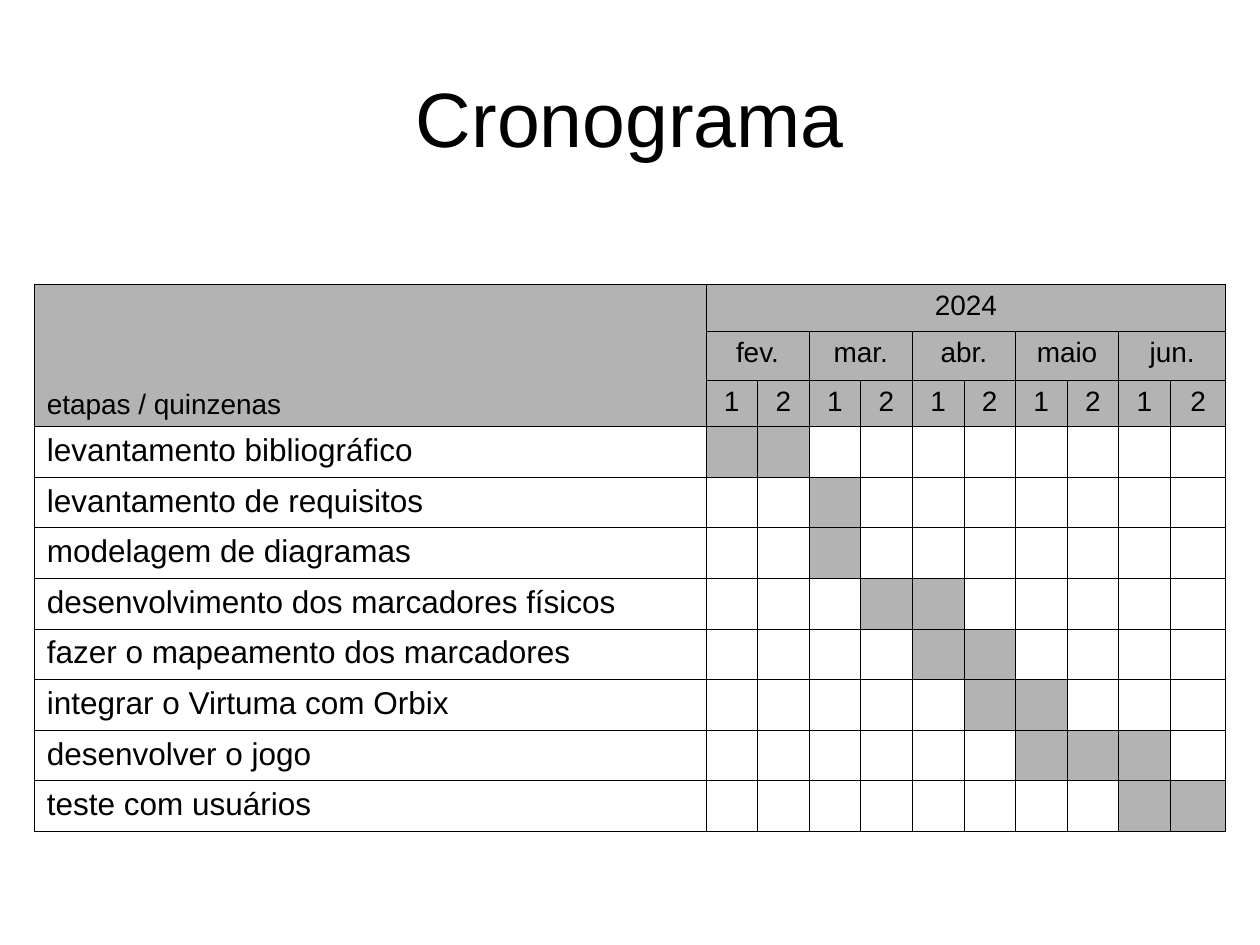
from dataclasses import dataclass

from lxml.etree import SubElement
from pptx import Presentation
from pptx.dml.color import RGBColor
from pptx.enum.text import MSO_ANCHOR, PP_ALIGN
from pptx.oxml.ns import qn
from pptx.util import Cm, Pt


@dataclass(frozen=True)
class Theme:
    font: str = "Arial"
    text: str = "000000"
    border: str = "000000"
    shade: str = "B3B3B3"
    title_size: float = 44
    header_size: float = 16
    stage_size: float = 18
    border_width: float = 0.45


MONTHS = ["fev.", "mar.", "abr.", "maio", "jun."]
FORTNIGHTS = 2 * len(MONTHS)
HEADER_ROWS = 3

# Each stage with its first and last fortnight, counted from 1.
STAGES = [
    ("levantamento bibliográfico", 1, 2),
    ("levantamento de requisitos", 3, 3),
    ("modelagem de diagramas", 3, 3),
    ("desenvolvimento dos marcadores físicos", 4, 5),
    ("fazer o mapeamento dos marcadores", 5, 6),
    ("integrar o Virtuma com Orbix", 6, 7),
    ("desenvolver o jogo", 7, 9),
    ("teste com usuários", 9, 10),
]
COLUMN_WIDTHS = [13.54] + [1.04] * (FORTNIGHTS - 1) + [1.12]
ROW_HEIGHTS = [0.94, 0.99, 0.94] + [1.02] * len(STAGES)


class SlideBuilder:
    def __init__(self, slide, theme):
        self.slide = slide
        self.theme = theme

    def set_text(self, text_frame, text, size, alignment):
        paragraph = text_frame.paragraphs[0]
        paragraph.text = text
        paragraph.alignment = alignment
        paragraph.font.name = self.theme.font
        paragraph.font.size = Pt(size)
        paragraph.font.color.rgb = RGBColor.from_string(self.theme.text)

    def add_title(self, text, left, top, width, height):
        box = self.slide.shapes.add_textbox(Cm(left), Cm(top), Cm(width), Cm(height))
        box.text_frame.word_wrap = True
        box.text_frame.vertical_anchor = MSO_ANCHOR.MIDDLE
        self.set_text(box.text_frame, text, self.theme.title_size, PP_ALIGN.CENTER)

    def add_grid(self, left, top, widths, heights):
        """Add an empty table with thin borders and no fill."""
        frame = self.slide.shapes.add_table(
            len(heights), len(widths),
            Cm(left), Cm(top), Cm(sum(widths)), Cm(sum(heights)),
        )
        table = frame.table
        table.first_row = False
        table.horz_banding = False
        for column, width in zip(table.columns, widths):
            column.width = Cm(width)
        for row, height in zip(table.rows, heights):
            row.height = Cm(height)
        for cell in table.iter_cells():
            self.add_borders(cell)
            cell.fill.background()
        return table

    def add_borders(self, cell):
        properties = cell._tc.get_or_add_tcPr()
        for side in ("a:lnL", "a:lnR", "a:lnT", "a:lnB"):
            line = SubElement(properties, qn(side), w=str(Pt(self.theme.border_width)))
            fill = SubElement(line, qn("a:solidFill"))
            SubElement(fill, qn("a:srgbClr"), val=self.theme.border)

    def shade(self, cell):
        cell.fill.solid()
        cell.fill.fore_color.rgb = RGBColor.from_string(self.theme.shade)

    def add_header(self, cell, text, last_cell=None, alignment=PP_ALIGN.CENTER):
        """Fill a header cell, merged up to last_cell if one is given."""
        if last_cell is not None:
            cell.merge(last_cell)
        self.shade(cell)
        self.set_text(cell.text_frame, text, self.theme.header_size, alignment)

    def add_stage(self, table, row, name, first, last):
        label = table.cell(row, 0).text_frame
        self.set_text(label, name, self.theme.stage_size, PP_ALIGN.LEFT)
        for fortnight in range(first, last + 1):
            self.shade(table.cell(row, fortnight))


def main():
    presentation = Presentation()
    presentation.slide_width = Cm(25.4)
    presentation.slide_height = Cm(19.05)
    slide = presentation.slides.add_slide(presentation.slide_layouts[6])
    builder = SlideBuilder(slide, Theme())

    builder.add_title("Cronograma", 1.27, 0.76, 22.86, 3.18)
    table = builder.add_grid(0.69, 5.73, COLUMN_WIDTHS, ROW_HEIGHTS)

    corner = table.cell(0, 0)
    builder.add_header(
        corner, "etapas / quinzenas", table.cell(HEADER_ROWS - 1, 0), PP_ALIGN.LEFT
    )
    corner.vertical_anchor = MSO_ANCHOR.BOTTOM
    builder.add_header(table.cell(0, 1), "2024", table.cell(0, FORTNIGHTS))
    for index, month in enumerate(MONTHS):
        first = 1 + 2 * index
        builder.add_header(table.cell(1, first), month, table.cell(1, first + 1))
        for half in range(2):
            builder.add_header(table.cell(2, first + half), str(half + 1))

    for row, (name, first, last) in enumerate(STAGES, start=HEADER_ROWS):
        builder.add_stage(table, row, name, first, last)

    presentation.save("out.pptx")


if __name__ == "__main__":
    main()
